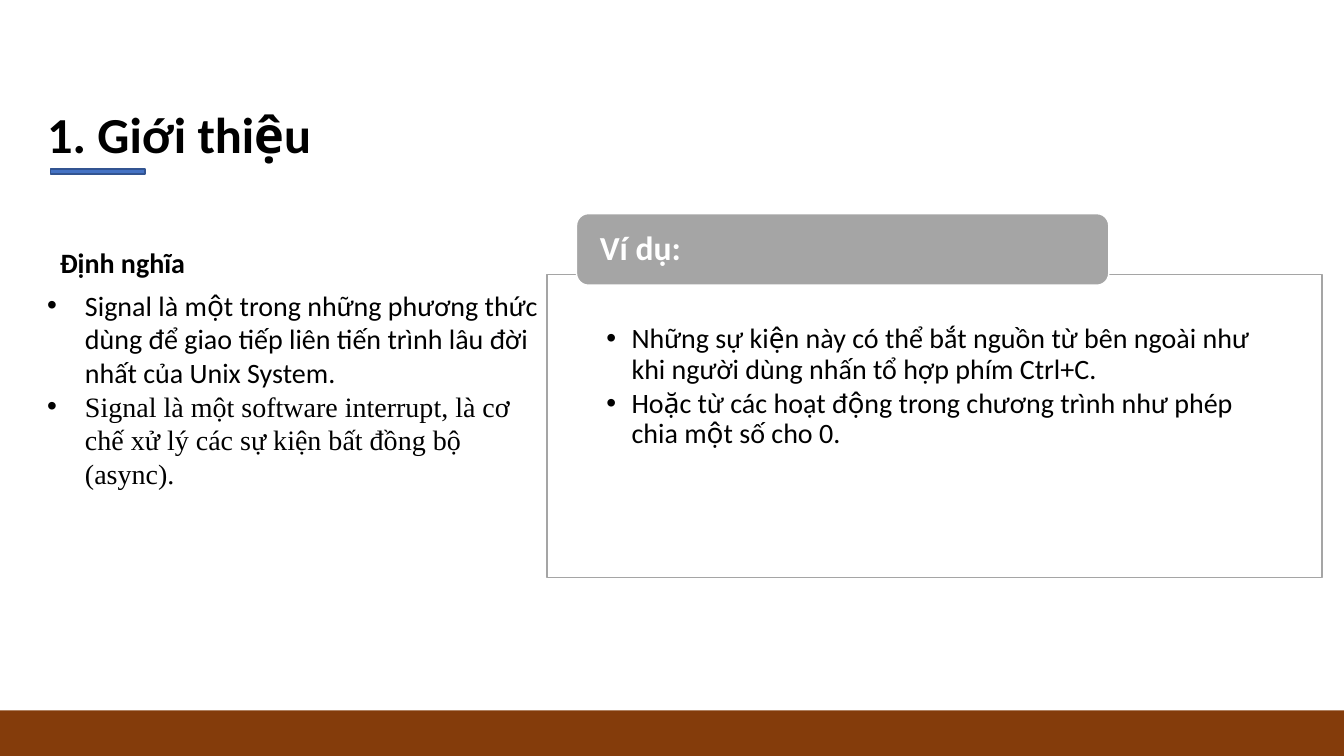
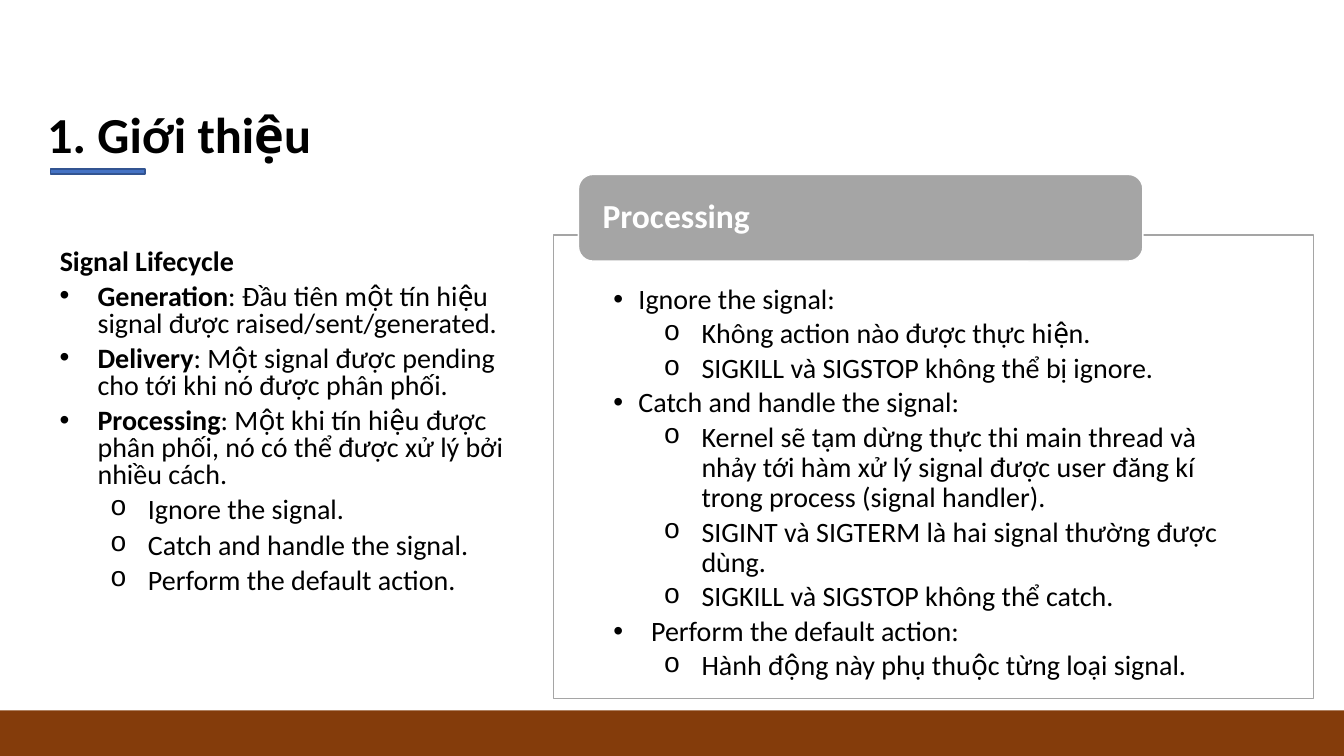
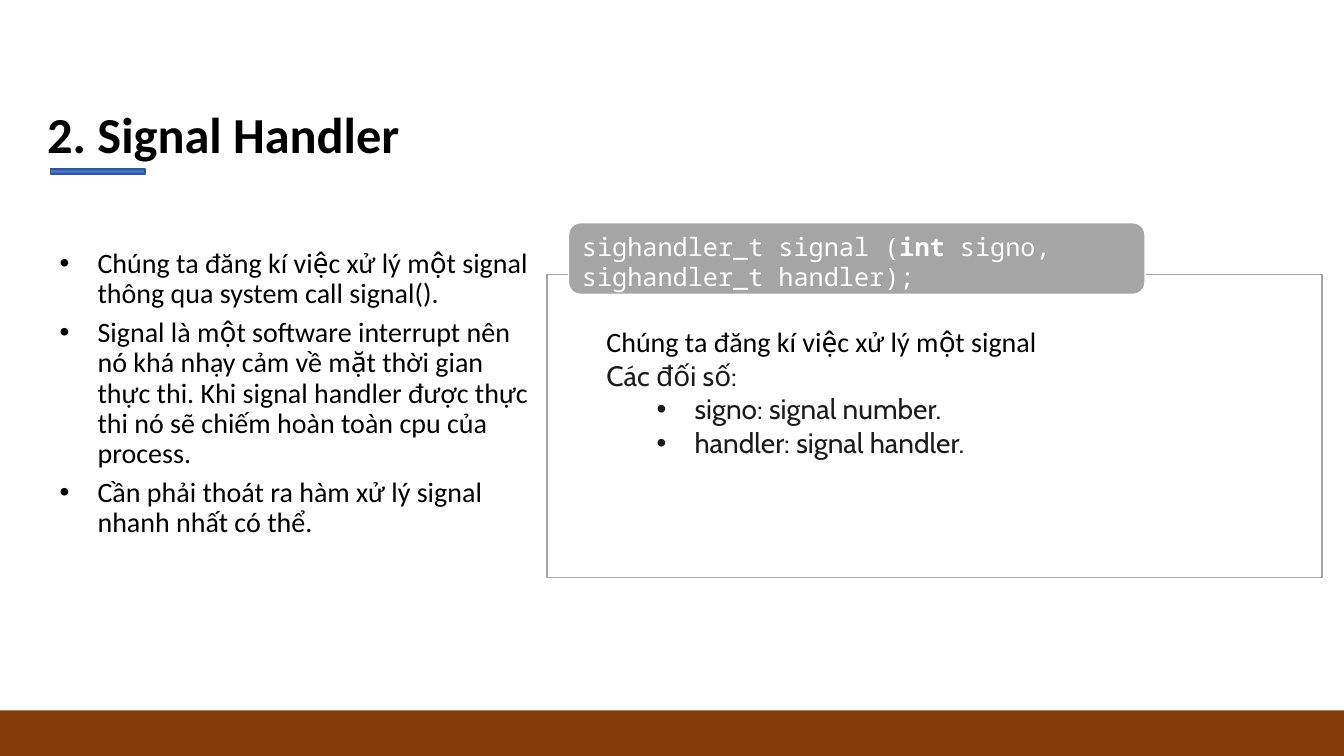
from pptx import Presentation
from pptx.dml.color import RGBColor as RGB
from pptx.enum.shapes import MSO_SHAPE as SHAPE
from pptx.enum.text import MSO_ANCHOR as ANCHOR, PP_ALIGN as ALIGN
from pptx.oxml.xmlchemy import OxmlElement
from pptx.util import Pt

COLORS = {
    "text": "000000", "soft": "1B1B1B", "white": "FFFFFF", "band": "843C0B",
    "accent": "4472C4", "accent_line": "325491", "gray": "A5A5A5",
}
BULLET_FONTS = {"•": "Arial", "o": "Courier New"}
VOWELS = "aăâeêioôơuưy"
TONES = {
    0x300: "àằầèềìòồờùừỳ", 0x301: "áắấéếíóốớúứý", 0x303: "ãẵẫẽễĩõỗỡũữỹ",
    0x309: "ảẳẩẻểỉỏổởủửỷ", 0x323: "ạặậẹệịọộợụựỵ",
}
TONE_MAP = {ord(toned): vowel + chr(mark)
            for mark, row in TONES.items() for toned, vowel in zip(row, VOWELS)}
WIDTH, HEIGHT = 960, 540
BAND_TOP = 507.4
TITLE_BOX = (26.6, 35, 350, 85.5)
BODY_BOX = (26.6, 174.7, 366.5, 275)
ACCENT_BOX = (36, 120.7, 67.7, 3.6)
PANEL_BOX = (390.6, 196, 553.7, 216.5)
PLAIN_INSETS = (7.2, 3.6, 7.2, 3.6)
PANEL_INSETS = (42.5, 36, 42.5, 12.2)
TAB_INSETS = (14.2, 0, 14.2, 0)

HEADING = dict(bold=True, left=9, spacing=0.9, after=6)
ITEM = dict(bullet="•", left=36, hang=27, spacing=0.9, after=6)
TIGHT = {**ITEM, "spacing": 0.8}
TIGHT_SUB = {**TIGHT, "bullet": "o", "left": 72, "level": 1}
LOOSE = dict(bullet="•", left=27, hang=27)
POINT = dict(bullet="•", left=18, hang=18, spacing=0.9, after=3, level=1)
SUBPOINT = {**POINT, "bullet": "o", "left": 63, "hang": 27, "level": 2}
TAB = dict(size=24, color="white", bold=True, spacing=0.9)
ARGUMENT = dict(bullet="•", left=63, hang=27, level=1, font="Cabin", color="soft")


def rgb(name):
    return RGB.from_string(COLORS[name])


def add_bullet(pPr, char):
    for tag, key, value in (("a:buFont", "typeface", BULLET_FONTS[char]),
                            ("a:buChar", "char", char)):
        bu = OxmlElement(tag)
        bu.set(key, value)
        pPr.append(bu)


def add_text(tf, text, size=20, font="Calibri", color="text", bold=False, level=0,
             left=0, hang=0, bullet=None, spacing=1.0, after=0):
    """Append a paragraph with combining tone marks; parts between ** are bold."""
    p = tf.add_paragraph() if tf.text else tf.paragraphs[0]
    p.alignment, p.level = ALIGN.LEFT, level
    p.line_spacing, p.space_after = spacing, Pt(after)
    pPr = p._p.get_or_add_pPr()
    pPr.set("marL", str(Pt(left)))
    pPr.set("indent", str(Pt(-hang)))
    if bullet:
        add_bullet(pPr, bullet)
    for i, part in enumerate(text.translate(TONE_MAP).split("**")):
        if part:
            r = p.add_run()
            r.text = part
            r.font.name, r.font.size = font, Pt(size)
            r.font.bold = bold or i % 2 == 1
            r.font.color.rgb = rgb(color)


def set_frame(sp, insets=PLAIN_INSETS, anchor=ANCHOR.TOP):
    tf = sp.text_frame
    tf.word_wrap, tf.vertical_anchor = True, anchor
    tf.margin_left, tf.margin_top, tf.margin_right, tf.margin_bottom = map(Pt, insets)
    return tf


def add_box(s, box, fill, line=None, kind=SHAPE.RECTANGLE):
    sp = s.shapes.add_shape(kind, *map(Pt, box))
    sp.shadow.inherit = False
    sp.fill.solid()
    sp.fill.fore_color.rgb = rgb(fill)
    if line:
        sp.line.color.rgb, sp.line.width = rgb(line), Pt(1)
    else:
        sp.line.fill.background()
    return sp


def add_text_box(s, box, anchor=ANCHOR.TOP):
    return set_frame(s.shapes.add_textbox(*map(Pt, box)), anchor=anchor)


def add_lines(tf, lines):
    for text, fmt in lines:
        add_text(tf, text, **fmt)


def add_panel(s, box, lines):
    add_lines(set_frame(add_box(s, box, "white", "gray"), PANEL_INSETS), lines)


def add_tab(s, box, text, insets=TAB_INSETS, anchor=ANCHOR.MIDDLE, **fmt):
    sp = add_box(s, box, "gray", "white", SHAPE.ROUNDED_RECTANGLE)
    add_text(set_frame(sp, insets, anchor), text, **fmt)


def add_slide(prs, title, body):
    s = prs.slides.add_slide(prs.slide_layouts[6])
    add_text(add_text_box(s, TITLE_BOX, ANCHOR.BOTTOM), title, size=36, bold=True)
    add_box(s, (0, BAND_TOP, WIDTH, HEIGHT - BAND_TOP), "band")
    add_lines(add_text_box(s, BODY_BOX), body)
    add_box(s, ACCENT_BOX, "accent", "accent_line")
    return s


def add_definition(prs):
    s = add_slide(prs, "1. Giới thiệu", [
        ("Định nghĩa", HEADING),
        ("Signal là một trong những phương thức dùng để giao tiếp liên tiến trình "
         "lâu đời nhất của Unix System.", LOOSE),
        ("Signal là một software interrupt, là cơ chế xử lý các sự kiện bất đồng bộ "
         "(async).", {**LOOSE, "font": "Times New Roman"}),
    ])
    add_panel(s, PANEL_BOX, [
        ("Những sự kiện này có thể bắt nguồn từ bên ngoài như khi người dùng nhấn "
         "tổ hợp phím Ctrl+C.", POINT),
        ("Hoặc từ các hoạt động trong chương trình như phép chia một số cho 0.", POINT),
    ])
    add_tab(s, (411.8, 152.6, 380.2, 51.1), "Ví dụ:", **TAB)


def add_lifecycle(prs):
    s = add_slide(prs, "1. Giới thiệu", [
        ("Signal Lifecycle", {**HEADING, "spacing": 0.8}),
        ("**Generation**: Đầu tiên một tín hiệu signal được raised/sent/generated.", TIGHT),
        ("**Delivery**: Một signal được pending cho tới khi nó được phân phối.", TIGHT),
        ("**Processing**: Một khi tín hiệu được phân phối, nó có thể được xử lý bởi "
         "nhiều cách.", TIGHT),
        ("Ignore the signal.", TIGHT_SUB),
        ("Catch and handle the signal.", TIGHT_SUB),
        ("Perform the default action.", TIGHT_SUB),
    ])
    add_panel(s, (395.6, 167.8, 542.9, 331.2), [
        ("Ignore the signal:", POINT),
        ("Không action nào được thực hiện.", SUBPOINT),
        ("SIGKILL và SIGSTOP không thể bị ignore.", SUBPOINT),
        ("Catch and handle the signal:", POINT),
        ("Kernel sẽ tạm dừng thực thi main thread và nhảy tới hàm xử lý signal được "
         "user đăng kí trong process (signal handler).", SUBPOINT),
        ("SIGINT và SIGTERM là hai signal thường được dùng.", SUBPOINT),
        ("SIGKILL và SIGSTOP không thể catch.", SUBPOINT),
        ("Perform the default action:", {**POINT, "left": 27, "hang": 27}),
        ("Hành động này phụ thuộc từng loại signal.", SUBPOINT),
    ])
    add_tab(s, (413.2, 124.6, 403.2, 61.9), "Processing", **TAB)


def add_handler(prs):
    s = add_slide(prs, "2. Signal Handler", [
        ("Chúng ta đăng kí việc xử lý một signal thông qua system call signal().", ITEM),
        ("Signal là một software interrupt nên nó khá nhạy cảm về mặt thời gian thực "
         "thi. Khi signal handler được thực thi nó sẽ chiếm hoàn toàn cpu của process.",
         ITEM),
        ("Cần phải thoát ra hàm xử lý signal nhanh nhất có thể.", ITEM),
    ])
    add_panel(s, PANEL_BOX, [
        ("Chúng ta đăng kí việc xử lý một signal", {}),
        ("Các đối số:", dict(font="Cabin", color="soft")),
        ("signo: signal number.", ARGUMENT),
        ("handler: signal handler.", ARGUMENT),
    ])
    add_tab(s, (406.1, 159.1, 411.8, 51.1),
            "sighandler_t signal (**int **signo, sighandler_t handler);",
            PLAIN_INSETS, ANCHOR.TOP, size=18, font="Noto Sans Mono", color="white")


def main():
    prs = Presentation()
    prs.slide_width, prs.slide_height = Pt(WIDTH), Pt(HEIGHT)
    add_definition(prs)
    add_lifecycle(prs)
    add_handler(prs)
    prs.save("out.pptx")


if __name__ == "__main__":
    main()
